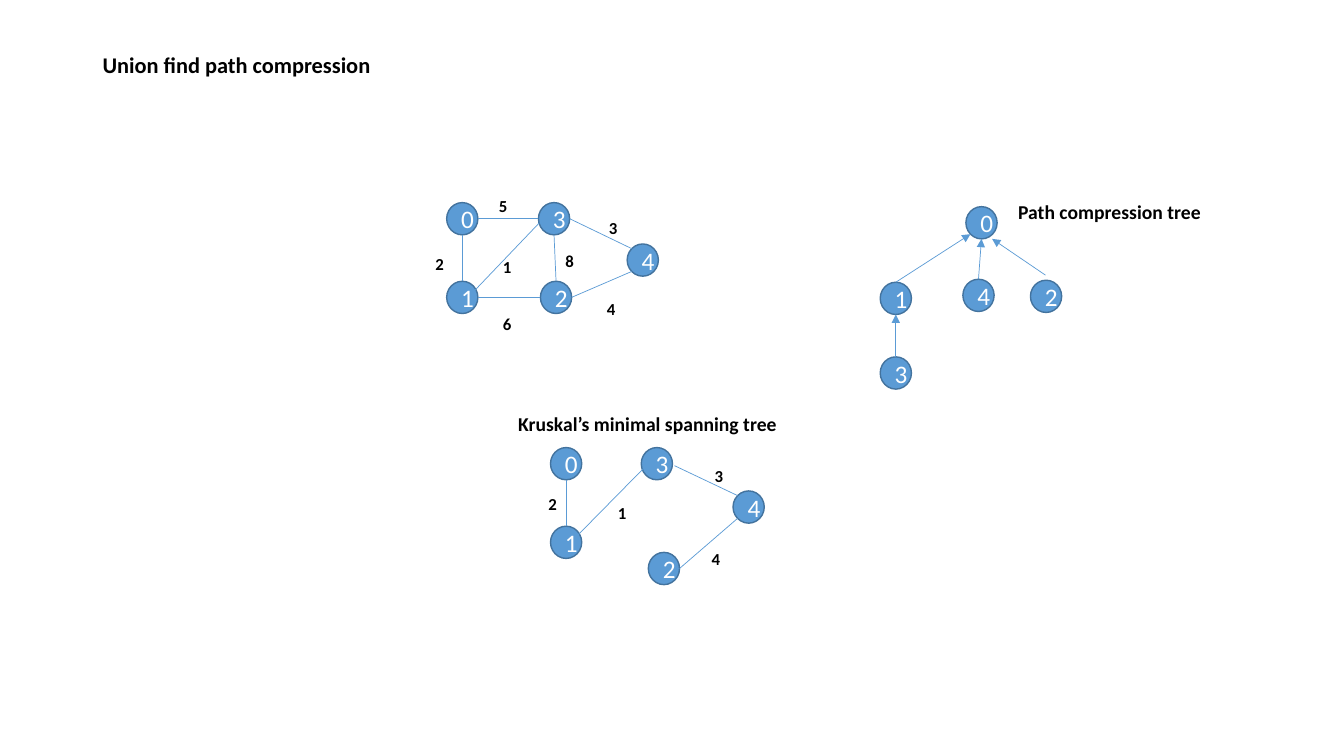
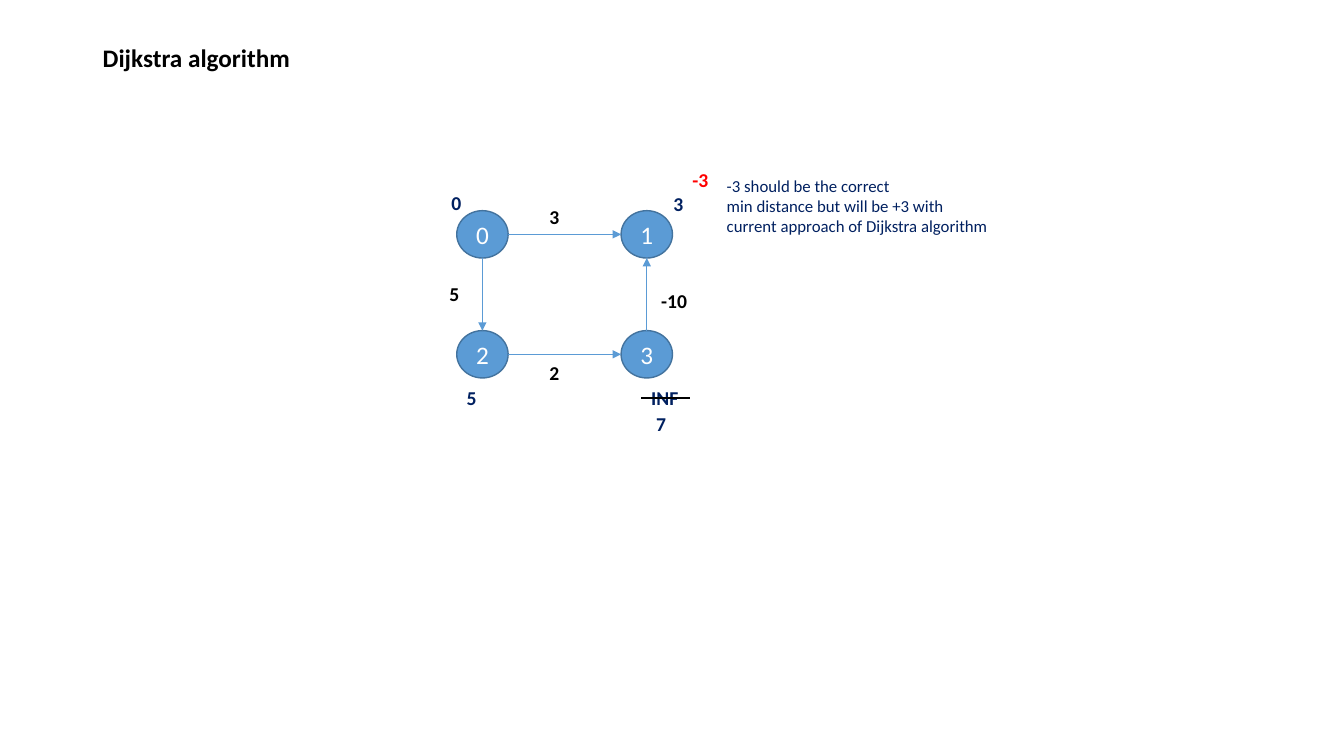
"""Build two slides of graph algorithm diagrams."""
from lxml.etree import SubElement
from pptx import Presentation
from pptx.dml.color import RGBColor
from pptx.enum.shapes import MSO_CONNECTOR, MSO_SHAPE
from pptx.enum.text import MSO_ANCHOR, MSO_AUTO_SIZE, PP_ALIGN
from pptx.oxml.ns import qn
from pptx.util import Emu, Pt

PX = 9144
BLUE, BORDER, WHITE, BLACK, NAVY, RED = (
    "5B9BD5", "43739E", "FFFFFF", "000000", "002060", "FF0000")
SITES = {"t": (0, -1), "b": (0, 1), "l": (-1, 0), "r": (1, 0),
         "tl": (-0.71, -0.71), "bl": (-0.71, 0.71)}
DIGIT_WIDTH = {12: 29, 14: 30}
LINE_HEIGHT = {12: 30, 14: 34}


def px(*values):
    """Turn px lengths into EMU."""
    return [Emu(round(v * PX)) for v in values]


def rgb(code):
    """Turn a hex string into a colour."""
    return RGBColor.from_string(code)


def apply(obj, values):
    """Set each named attribute on an object."""
    for name, value in values.items():
        setattr(obj, name, value)


def write(tf, text, size, color=BLACK, bold=False, **para):
    """Fill a text frame, one paragraph for each line."""
    for i, line in enumerate(text.split("\n")):
        p = tf.paragraphs[0] if i == 0 else tf.add_paragraph()
        apply(p, para)
        r = p.add_run()
        r.text = line
        apply(r.font, {"name": "Calibri", "size": Pt(size), "bold": bold})
        r.font.color.rgb = rgb(color)


def add_title(s, text, size, height):
    """Add the slide title."""
    tf = s.shapes.add_textbox(*px(92, 40, 1150, height)).text_frame
    apply(tf, {"word_wrap": True, "vertical_anchor": MSO_ANCHOR.MIDDLE})
    write(tf, text, size, bold=True, line_spacing=0.9)


def add_label(s, text, x, y, size=12, color=BLACK, width=None, height=None, bold=True):
    """Add an unwrapped label, by default as wide as one digit."""
    box = px(x, y, width or DIGIT_WIDTH[size], height or LINE_HEIGHT[size])
    tf = s.shapes.add_textbox(*box).text_frame
    apply(tf, {"word_wrap": False, "auto_size": MSO_AUTO_SIZE.SHAPE_TO_FIT_TEXT})
    write(tf, text, size, color, bold)


def add_node(s, text, x, y, width, height):
    """Add a numbered graph node."""
    sp = s.shapes.add_shape(MSO_SHAPE.OVAL, *px(x, y, width, height))
    sp.shadow.inherit = False
    sp.fill.solid()
    sp.fill.fore_color.rgb = rgb(BLUE)
    sp.line.color.rgb = rgb(BORDER)
    sp.line.width = Pt(1)
    sp.text_frame.vertical_anchor = MSO_ANCHOR.MIDDLE
    write(sp.text_frame, text, 18, WHITE, alignment=PP_ALIGN.CENTER)


def add_line(s, start, end, color=BLUE, width=0.5, arrow=False):
    """Add a straight line with an optional arrowhead."""
    cx = s.shapes.add_connector(MSO_CONNECTOR.STRAIGHT, *px(*start, *end))
    cx.line.color.rgb = rgb(color)
    cx.line.width = Pt(width)
    if arrow:
        SubElement(cx.line._get_or_add_ln(), qn("a:tailEnd"), type="triangle")
    SubElement(cx._element.spPr, qn("a:effectLst"))


def end_point(end, nodes, size):
    """Resolve a node site such as '0 r', or pass a point through."""
    if not isinstance(end, str):
        return end
    name, site = end.split()
    return [at + length / 2 * (1 + d)
            for at, length, d in zip(nodes[name], size, SITES[site])]


def add_graph(s, nodes, edges, weights=(), size=(31, 32), label_size=12, arrow=False):
    """Add the nodes, edges and weights of a graph."""
    for name, at in nodes.items():
        add_node(s, name, *at, *size)
    for ends in edges:
        start, end = [end_point(e, nodes, size) for e in ends]
        add_line(s, start, end, arrow=arrow)
    for text, x, y in weights:
        add_label(s, text, x, y, label_size)


def union_find(s):
    """Draw the weighted graph, its compressed tree and its spanning tree."""
    add_title(s, "Union find path compression", 16, 52)
    add_graph(
        s,
        {"0": (443, 201), "1": (443, 279), "3": (534, 201),
         "2": (536, 279), "4": (622, 242)},
        [("0 r", "3 l"), ("0 b", "1 t"), ("1 r", "2 l"), ("2 r", "4 bl"),
         ("3 r", "4 tl"), ((471, 288), (535, 221)), ("3 b", "2 t")],
        [("1", 489, 250), ("2", 422, 247), ("6", 489, 306), ("5", 485, 189),
         ("3", 594, 211), ("4", 592, 291), ("8", 551, 244)])
    add_graph(
        s,
        {"3": (873, 354), "1": (873, 280), "0": (958, 205),
         "4": (955, 277), "2": (1022, 278)},
        [("3 t", "1 b"), ("1 t", "0 bl"), ("4 t", "0 b"),
         ((1037, 273), (984, 237))],
        arrow=True)
    add_graph(
        s,
        {"0": (546, 444), "1": (546, 522), "3": (636, 444),
         "4": (727, 487), "2": (643, 548)},
        [("0 b", "1 t"), ((573, 531), (638, 465)), ((669, 462), "4 tl"),
         ("2 r", "4 bl")],
        [("3", 699, 457), ("4", 696, 539), ("1", 603, 494), ("2", 534, 485)])
    add_label(s, "Path compression tree", 1000, 193, 14, width=203)
    add_label(s, "Kruskal’s minimal spanning tree", 504, 404, 14, width=279)


def dijkstra(s):
    """Draw the directed graph with its distances and a remark."""
    add_title(s, "Dijkstra algorithm", 18, 38)
    left, right, top, bottom = 453, 616, 209, 328
    add_graph(
        s,
        {"0": (left, top), "2": (left, bottom),
         "3": (right, bottom), "1": (right, top)},
        [("0 r", "1 l"), ("0 b", "2 t"), ("2 r", "3 l"), ("3 t", "1 b")],
        [("3", 535, 198), ("5", 436, 275), ("2", 535, 353)],
        size=(51, 47), label_size=14, arrow=True)
    add_label(s, "-10", 646, 282, 14, width=46)
    for text, x, y, width in [("0", 438, 184, 30), ("3", 658, 186, 30),
                              ("5", 453, 378, 30), ("INF", 636, 378, 47),
                              ("7", 641, 404, 30)]:
        add_label(s, text, x, y, 14, NAVY, width)
    add_label(s, "-3", 677, 162, 14, RED, 36)
    add_line(s, (636, 395), (684, 395), BLACK, 1.5)
    add_label(s, "-3 should be the correct\nmin distance but will be +3 with\n"
              "current approach of Dijkstra algorithm",
              711, 169, 12, NAVY, 283, 71, bold=False)


def main():
    """Build and save the presentation."""
    prs = Presentation()
    prs.slide_width, prs.slide_height = px(1333, 750)
    for draw in (union_find, dijkstra):
        draw(prs.slides.add_slide(prs.slide_layouts[6]))
    prs.save("out.pptx")


if __name__ == "__main__":
    main()
